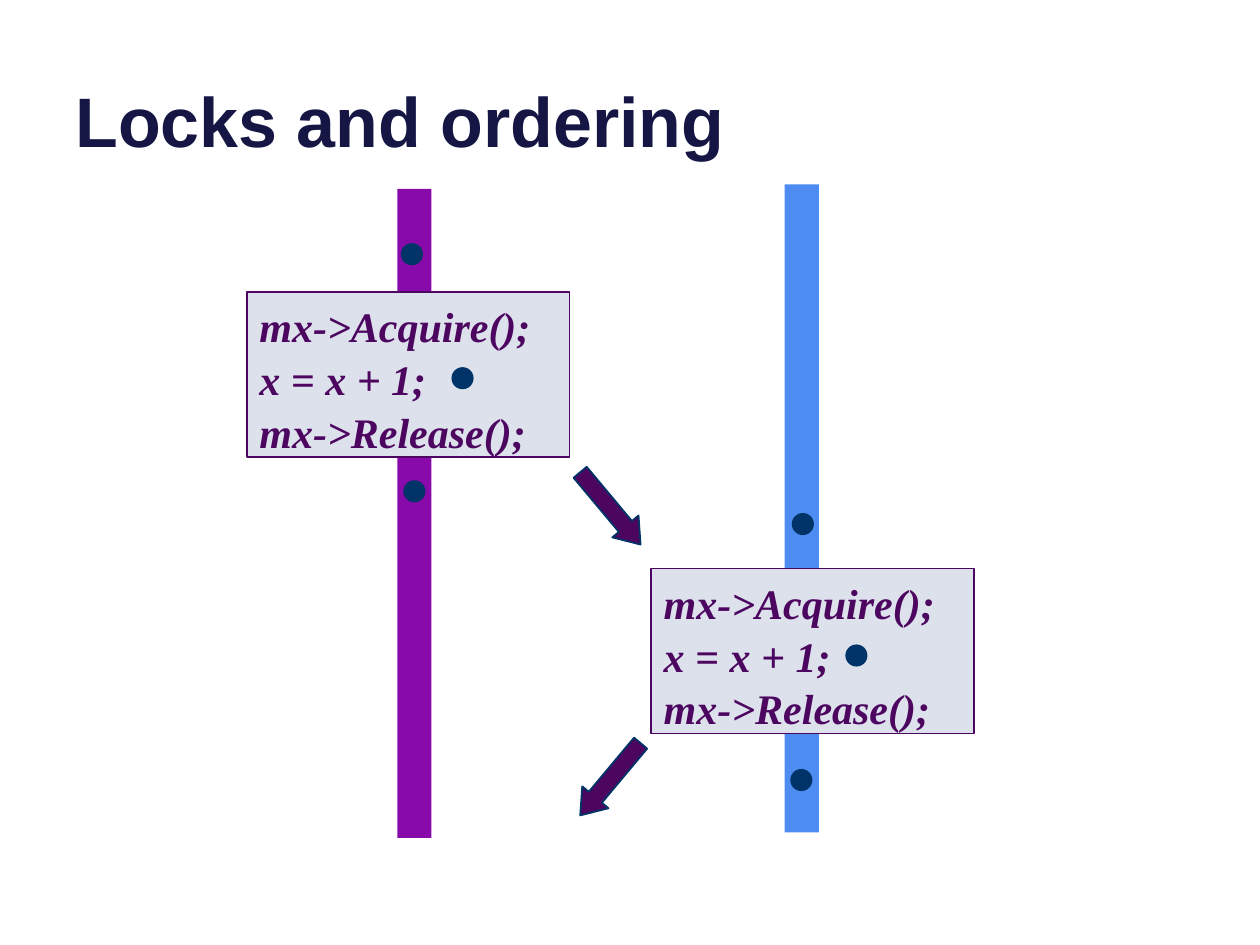
from pptx import Presentation
from pptx.dml.color import RGBColor
from pptx.enum.shapes import MSO_SHAPE
from pptx.enum.text import MSO_ANCHOR, PP_ALIGN
from pptx.util import Cm, Pt

RECTANGLE, OVAL, DOWN_ARROW = MSO_SHAPE.RECTANGLE, MSO_SHAPE.OVAL, MSO_SHAPE.DOWN_ARROW
LEFT, TOP, BOTTOM = PP_ALIGN.LEFT, MSO_ANCHOR.TOP, MSO_ANCHOR.BOTTOM

NAVY, PLUM, PALE = "003367", "4D0660", "DCE1EC"
TITLE_FONT = {"name": "Arial", "size": Pt(40), "bold": True, "italic": False}
CODE_FONT = {"name": "Times New Roman", "size": Pt(24), "bold": True, "italic": True}
CODE_LINES = ["mx->Acquire();", "x = x + 1;", "mx->Release();"]
BAR_WIDTH, DOT_SIZE = 0.69, 0.41

deck = Presentation()
deck.slide_width, deck.slide_height = Cm(25.4), Cm(19.05)
page = deck.slides.add_slide(deck.slide_layouts[6])


def add_shape(kind, left, top, width, height, fill, line=None):
    """Add a flat shape, measured in centimetres, with an optional 1 pt outline."""
    shape = page.shapes.add_shape(kind, Cm(left), Cm(top), Cm(width), Cm(height))
    shape.shadow.inherit = False
    shape.fill.solid()
    shape.fill.fore_color.rgb = RGBColor.from_string(fill)
    if line:
        shape.line.color.rgb = RGBColor.from_string(line)
        shape.line.width = Pt(1)
    else:
        shape.line.fill.background()
    return shape


def write_lines(box, lines, font, color, anchor, spacing):
    """Fill a box with one left-aligned paragraph per line."""
    frame = box.text_frame
    frame.word_wrap = True
    frame.vertical_anchor = anchor
    for index, line in enumerate(lines):
        para = frame.add_paragraph() if index else frame.paragraphs[0]
        para.alignment = LEFT
        para.line_spacing = spacing
        span = para.add_run()
        span.text = line
        for key, value in font.items():
            setattr(span.font, key, value)
        span.font.color.rgb = RGBColor.from_string(color)


# Thread timelines
for left, top, height, color in [(15.82, 3.72, 13.06, "4D8CF1"), (8.01, 3.81, 13.08, "880AAA")]:
    add_shape(RECTANGLE, left, top, BAR_WIDTH, height, color)

title = page.shapes.add_textbox(Cm(1.27), Cm(0.84), Cm(22.86), Cm(2.54))
write_lines(title, ["Locks and ordering"], TITLE_FONT, "161645", BOTTOM, 1.0)

# Critical sections
for left, top in [(4.98, 5.89), (13.13, 11.46)]:
    box = add_shape(RECTANGLE, left, top, 6.5, 3.33, PALE, PLUM)
    write_lines(box, CODE_LINES, CODE_FONT, PLUM, TOP, 1.05)

# Handover of the lock
for top, angle in [(9.3, 320.1), (14.76, 39.9)]:
    arrow = add_shape(DOWN_ARROW, 11.96, top, 0.69, 1.9, PLUM, NAVY)
    arrow.adjustments[0], arrow.adjustments[1] = 0.5, 0.69
    arrow.rotation = angle

# Events
for left, top in [(8.1, 4.92), (8.15, 9.7), (15.98, 10.36),
                  (15.95, 15.52), (9.12, 7.42), (17.06, 13.01)]:
    add_shape(OVAL, left, top, DOT_SIZE, DOT_SIZE, NAVY, NAVY)

deck.save("out.pptx")
